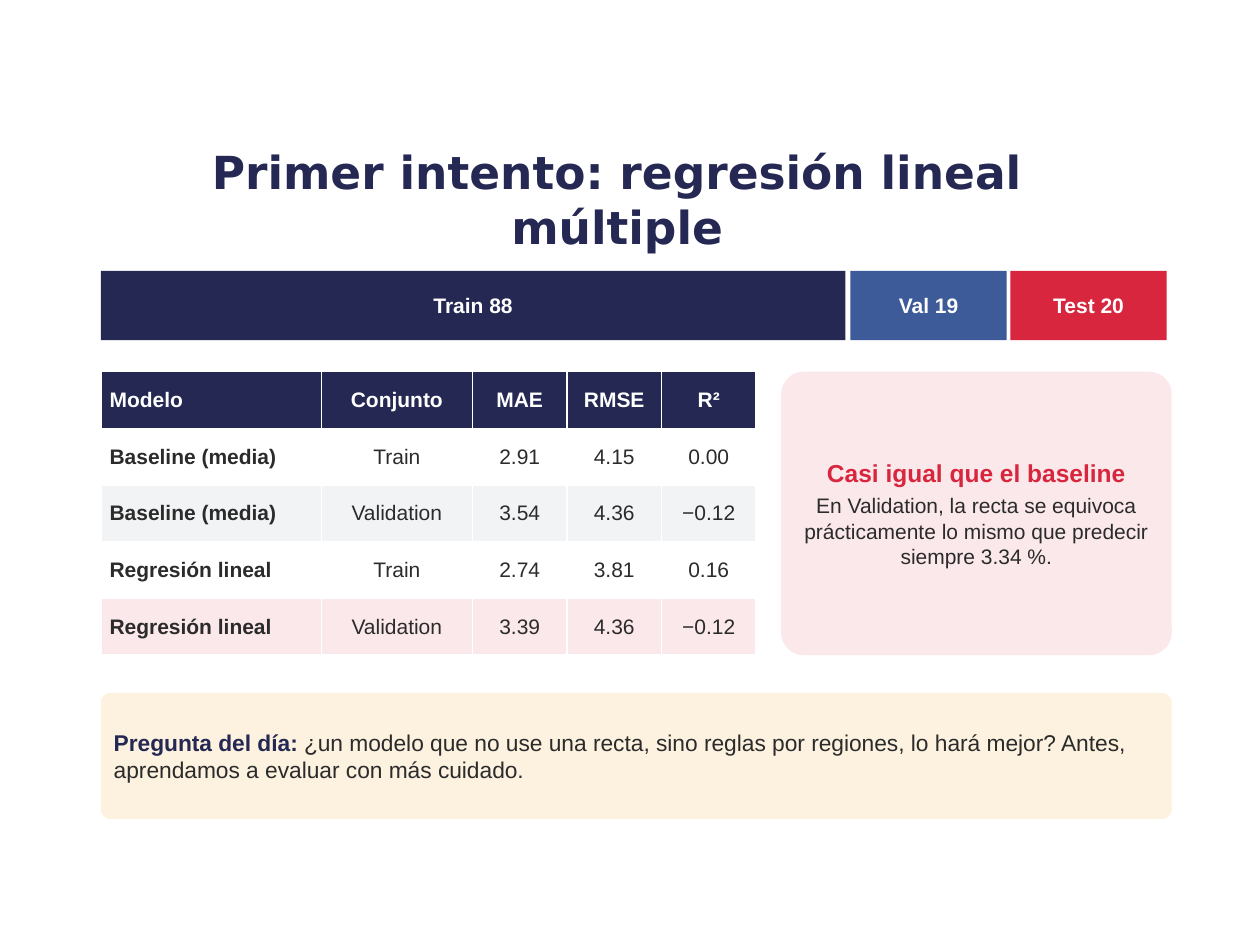
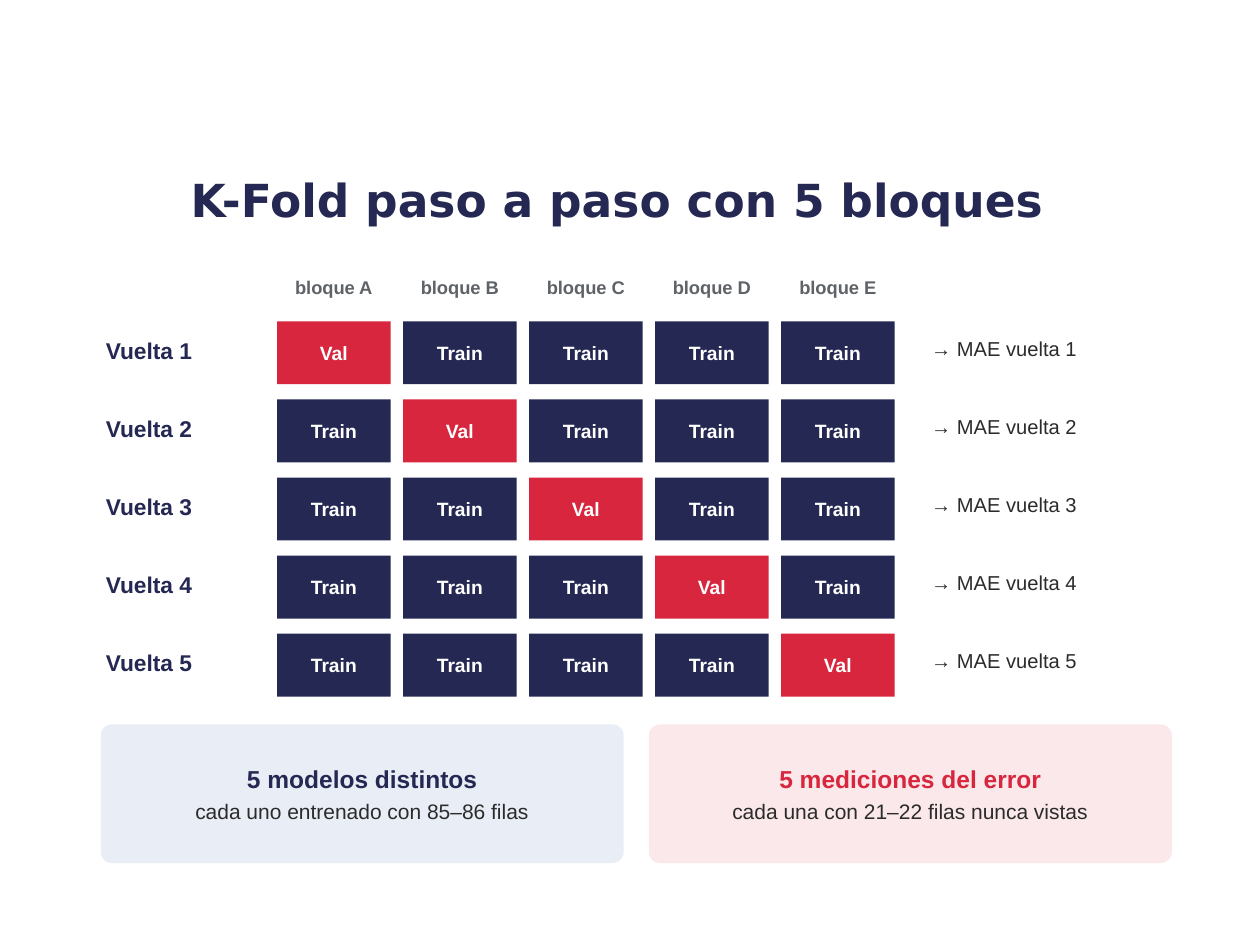
import pptx
import pptx.util
import pptx.dml.color
import pptx.enum.shapes
import pptx.enum.text

Inches = pptx.util.Inches
Pt = pptx.util.Pt
KIND = pptx.enum.shapes.MSO_SHAPE
ALIGN = pptx.enum.text.PP_ALIGN
MID = pptx.enum.text.MSO_ANCHOR.MIDDLE
TOP = pptx.enum.text.MSO_ANCHOR.TOP
FIT = pptx.enum.text.MSO_AUTO_SIZE

NAVY, BLUE, RED = "242852", "3D5A99", "D7263D"
INK, GRAY, WHITE = "2B2B2B", "5F6368", "FFFFFF"
PINK, CREAM, PALE, SMOKE = "FBE8EA", "FDF2E0", "E8EDF6", "F2F3F5"


def paint(part, code):
    part.rgb = pptx.dml.color.RGBColor.from_string(code)


def write(frame, paras, align=ALIGN.CENTER, after=0, face="Arial"):
    for num, runs in enumerate(paras):
        para = frame.paragraphs[0] if num == 0 else frame.add_paragraph()
        para.alignment = align
        para.space_after = Pt(after)
        for text, size, code, bold in runs:
            run = para.add_run()
            run.text = text
            form = {"name": face, "size": Pt(size), "bold": bold}
            for key, value in form.items():
                setattr(run.font, key, value)
            paint(run.font.color, code)


deck = pptx.Presentation()
deck.slide_width = Inches(10)
deck.slide_height = Inches(7.5)

bars = []
for text, left, width, code in [
    ("Train 88", 0.8, 5.91, NAVY),
    ("Val 19", 6.75, 1.24, BLUE),
    ("Test 20", 8.02, 1.24, RED),
]:
    bars.append(("bar", (left, 2.15, width, 0.55), code, [[(text, 12, WHITE, True)]]))

first = bars + [
    ("card", (6.2, 2.95, 3.1, 2.25), PINK, [
        [("Casi igual que el baseline", 14, RED, True)],
        [("En Validation, la recta se equivoca prácticamente lo mismo que "
          "predecir siempre 3.34 %.", 12, INK, False)],
    ]),
    ("note", (0.8, 5.5, 8.5, 1), CREAM, [[
        ("Pregunta del día: ", 13, NAVY, True),
        ("¿un modelo que no use una recta, sino reglas por regiones, lo hará "
         "mejor? Antes, aprendamos a evaluar con más cuidado.", 13, INK, False),
    ]]),
]

second = []
for col, name in enumerate("ABCDE"):
    second.append(("head", (2.2 + col, 2.15, 0.9, 0.35), None,
                   [[(f"bloque {name}", 10.5, GRAY, True)]]))
for row in range(5):
    top = 2.55 + 0.62 * row
    second.append(("label", (0.8, top + 0.08, 1.3, 0.4), None,
                   [[(f"Vuelta {row + 1}", 13, NAVY, True)]]))
    for col in range(5):
        text, code = ("Val", RED) if col == row else ("Train", NAVY)
        second.append(("fold", (2.2 + col, top, 0.9, 0.5), code,
                       [[(text, 11, WHITE, True)]]))
    second.append(("label", (7.35, top + 0.08, 2, 0.4), None,
                   [[(f"→ MAE vuelta {row + 1}", 11.5, INK, False)]]))
for left, code, tone, head, body in [
    (0.8, PALE, NAVY, "5 modelos distintos", "cada uno entrenado con 85–86 filas"),
    (5.15, PINK, RED, "5 mediciones del error", "cada una con 21–22 filas nunca vistas"),
]:
    second.append(("card", (left, 5.75, 4.15, 1.1), code,
                   [[(head, 14, tone, True)], [(body, 12, INK, False)]]))

styles = {
    "bar": (KIND.RECTANGLE, 0.02, ALIGN.CENTER, 3),
    "fold": (KIND.RECTANGLE, 0, ALIGN.CENTER, 3),
    "card": (KIND.ROUNDED_RECTANGLE, 0.08, ALIGN.CENTER, 3),
    "note": (KIND.ROUNDED_RECTANGLE, 0.08, ALIGN.LEFT, 3),
    "head": (None, 0.04, ALIGN.CENTER, 4),
    "label": (None, 0.04, ALIGN.LEFT, 4),
}

for title, items in [
    ("Primer intento: regresión lineal múltiple", first),
    ("K-Fold paso a paso con 5 bloques", second),
]:
    page = deck.slides.add_slide(deck.slide_layouts[5])
    head = page.shapes.title
    place = {"left": 0.75, "top": 1.18, "width": 8.3, "height": 0.8}
    for key, value in place.items():
        setattr(head, key, Inches(value))
    head.text_frame.vertical_anchor = MID
    head.text_frame.auto_size = FIT.NONE
    write(head.text_frame, [[(title, 26, NAVY, True)]], face="DejaVu Sans")

    for style, spot, code, paras in items:
        kind, pad, align, after = styles[style]
        spot = [Inches(value) for value in spot]
        if kind is None:
            box = page.shapes.add_textbox(*spot)
        else:
            box = page.shapes.add_shape(kind, *spot)
            box.shadow.inherit = False
            box.fill.solid()
            paint(box.fill.fore_color, code)
            box.line.fill.background()
        if kind == KIND.ROUNDED_RECTANGLE:
            box.adjustments[0] = 0.08
        frame = box.text_frame
        form = {
            "word_wrap": True,
            "auto_size": FIT.NONE if kind else FIT.SHAPE_TO_FIT_TEXT,
            "vertical_anchor": MID if kind else TOP,
        }
        for side in ("left", "top", "right", "bottom"):
            form[f"margin_{side}"] = Inches(pad)
        for key, value in form.items():
            setattr(frame, key, value)
        write(frame, paras, align, after)

rows = [
    ("Modelo", "Conjunto", "MAE", "RMSE", "R²"),
    ("Baseline (media)", "Train", "2.91", "4.15", "0.00"),
    ("Baseline (media)", "Validation", "3.54", "4.36", "−0.12"),
    ("Regresión lineal", "Train", "2.74", "3.81", "0.16"),
    ("Regresión lineal", "Validation", "3.39", "4.36", "−0.12"),
]
fills = [NAVY, WHITE, SMOKE, WHITE, PINK]
grid = deck.slides[0].shapes.add_table(
    5, 5, Inches(0.8), Inches(2.95), Inches(5.2), Inches(2.25)).table
for col, width in enumerate([1.75, 1.2, 0.75, 0.75, 0.75]):
    grid.columns[col].width = Inches(width)
for row, texts in enumerate(rows):
    grid.rows[row].height = Inches(0.45)
    for col, text in enumerate(texts):
        cell = grid.cell(row, col)
        form = {
            "vertical_anchor": MID,
            "margin_left": Inches(0.07), "margin_right": Inches(0.07),
            "margin_top": Inches(0.03), "margin_bottom": Inches(0.03),
        }
        for key, value in form.items():
            setattr(cell, key, value)
        cell.fill.solid()
        paint(cell.fill.fore_color, fills[row])
        code = INK if row else WHITE
        bold = row == 0 or col == 0
        write(cell.text_frame, [[(text, 12, code, bold)]],
              ALIGN.CENTER if col else ALIGN.LEFT)

deck.save("out.pptx")
